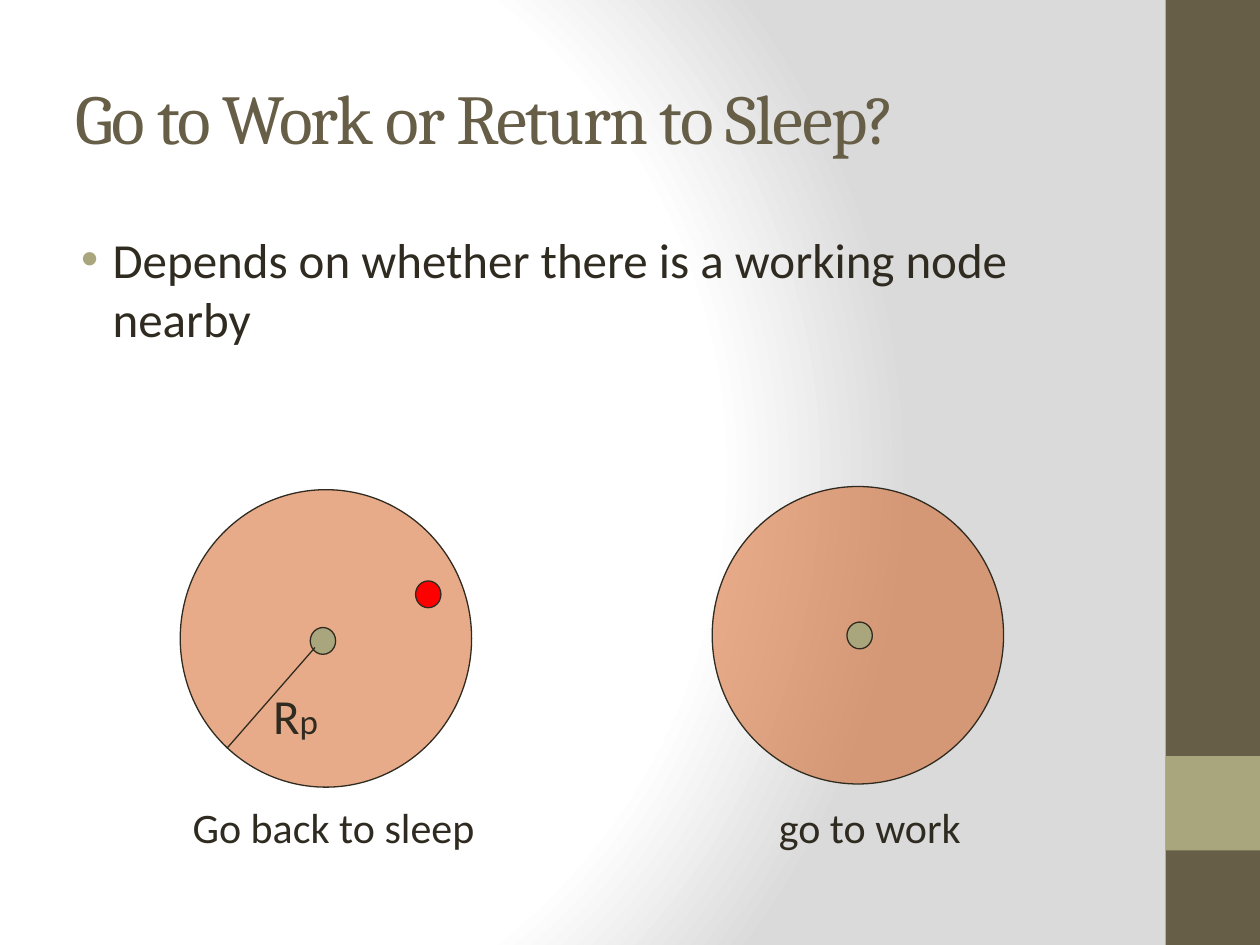
from dataclasses import dataclass
from typing import Any, Optional

from lxml.etree import SubElement
from pptx import Presentation
from pptx.dml.color import RGBColor
from pptx.enum.shapes import MSO_CONNECTOR, MSO_SHAPE
from pptx.enum.text import MSO_ANCHOR, MSO_AUTO_SIZE, PP_ALIGN
from pptx.oxml import parse_xml
from pptx.oxml.ns import nsdecls, qn
from pptx.util import Pt

BROWN = RGBColor(0x67, 0x5E, 0x47)
OLIVE = RGBColor(0xA9, 0xA5, 0x7C)
INK = RGBColor(0x2F, 0x2B, 0x20)
RUST = RGBColor(0xD2, 0x58, 0x14)
RED = RGBColor(0xFF, 0x00, 0x00)
WHITE = RGBColor(0xFF, 0xFF, 0xFF)
GREY = RGBColor(0xDA, 0xDA, 0xDA)

HEAD = {"name": "Cambria", "size": Pt(40), "bold": False}
BODY = {"name": "Calibri", "size": Pt(28)}
NOTE = {"name": "Calibri", "size": Pt(24)}
SMALL = {"name": "Calibri", "size": Pt(20)}
STOPS = [(0, WHITE), (75, WHITE), (100, GREY)]


@dataclass
class Box:
    left: float
    top: float
    width: float
    height: float

    def pts(self) -> list:
        return [Pt(v) for v in (self.left, self.top, self.width, self.height)]


@dataclass
class Part:
    kind: MSO_SHAPE
    box: Box
    fill: RGBColor
    line: Optional[RGBColor] = None
    alpha: int = 100


def disc(left: float, top: float) -> Part:
    return Part(MSO_SHAPE.OVAL, Box(left, top, 166.5, 170), RUST, INK, 50)


def node(left: float, top: float, fill: RGBColor) -> Part:
    return Part(MSO_SHAPE.OVAL, Box(left, top, 14.5, 15.3), fill, INK)


BARS = [
    Part(MSO_SHAPE.RECTANGLE, Box(666, 0, 54, 540), BROWN),
    Part(MSO_SHAPE.RECTANGLE, Box(666, 432, 54, 54), OLIVE),
]
NODES = [
    disc(407, 278), node(484, 355.5, OLIVE),
    disc(103, 279.8), node(177.3, 358.6, OLIVE), node(237.5, 332, RED),
]


def draw(shapes: Any, part: Part) -> None:
    shape = shapes.add_shape(part.kind, *part.box.pts())
    shape.shadow.inherit = False
    shape.fill.solid()
    shape.fill.fore_color.rgb = part.fill
    if part.alpha < 100:
        tint = shape._element.spPr.find(f"{qn('a:solidFill')}/{qn('a:srgbClr')}")
        SubElement(tint, qn("a:alpha"), val=str(part.alpha * 1000))
    if part.line is None:
        shape.line.fill.background()
    else:
        shape.line.color.rgb = part.line
        shape.line.width = Pt(0.75)


def style(font: Any, look: dict, color: RGBColor) -> None:
    for key, value in look.items():
        setattr(font, key, value)
    font.color.rgb = color


def place(shape: Any, box: Box) -> None:
    for key, value in zip(("left", "top", "width", "height"), box.pts()):
        setattr(shape, key, value)


def label(shapes: Any, box: Box, wrap: bool, runs: list) -> Any:
    frame = shapes.add_textbox(*box.pts()).text_frame
    frame.word_wrap = wrap
    para = frame.paragraphs[0]
    for text, look in runs:
        run = para.add_run()
        run.text = text
        style(run.font, look, INK)
    return para


def shade(slide: Any) -> None:
    slide.background.fill.solid()
    old = slide._element.find(f".//{qn('p:bgPr')}/{qn('a:solidFill')}")
    stops = "".join(
        f'<a:gs pos="{pos * 1000}"><a:srgbClr val="{color}"/></a:gs>'
        for pos, color in STOPS)
    old.getparent().replace(old, parse_xml(
        f'<a:gradFill {nsdecls("a")} rotWithShape="1"><a:gsLst>{stops}</a:gsLst>'
        '<a:path path="circle"><a:fillToRect l="20000" t="50000" r="100000" '
        'b="50000"/></a:path></a:gradFill>'))


def main() -> None:
    deck = Presentation()
    deck.slide_width, deck.slide_height = Pt(720), Pt(540)
    slide = deck.slides.add_slide(deck.slide_layouts[1])
    shapes = slide.shapes
    shade(slide)

    # Side bars
    for bar in BARS:
        draw(shapes, bar)

    # Title
    title = shapes.title
    place(title, Box(36, 21.6, 600, 90))
    frame = title.text_frame
    frame.text = "Go to Work or Return to Sleep?"
    frame.auto_size = MSO_AUTO_SIZE.NONE
    frame.vertical_anchor = MSO_ANCHOR.MIDDLE
    para = frame.paragraphs[0]
    para.alignment = PP_ALIGN.LEFT
    run = para.runs[0]
    style(run.font, HEAD, BROWN)
    run.font._element.set("spc", "-100")

    # Bullet list
    body = slide.placeholders[1]
    place(body, Box(30.2, 127.4, 620.6, 135.4))
    frame = body.text_frame
    frame.text = "Depends on whether there is a working node nearby"
    frame.auto_size = MSO_AUTO_SIZE.NONE
    para = frame.paragraphs[0]
    para.space_before = Pt(0)
    props = para._p.get_or_add_pPr()
    props.set("marL", str(Pt(27)))
    props.set("indent", str(Pt(-18)))
    tint = SubElement(props, qn("a:buClr"))
    SubElement(tint, qn("a:srgbClr"), val=str(OLIVE))
    SubElement(props, qn("a:buFont"), typeface="Arial")
    SubElement(props, qn("a:buChar"), char="•")
    style(para.runs[0].font, BODY, INK)

    # Sensing ranges and nodes
    for part in NODES:
        draw(shapes, part)

    # Captions, the second one at a tab stop
    para = label(shapes, Box(103, 454.3, 520, 36), True,
                 [("Go back to sleep\tgo to work", NOTE)])
    tabs = SubElement(para._p.get_or_add_pPr(), qn("a:tabLst"))
    SubElement(tabs, qn("a:tab"), pos=str(Pt(335)), algn="l")

    # Radius
    line = shapes.add_connector(
        MSO_CONNECTOR.STRAIGHT, Pt(180), Pt(370), Pt(129.6), Pt(427.7))
    line.line.color.rgb = INK
    line.line.width = Pt(0.75)
    SubElement(line._element.spPr, qn("a:effectLst"))
    label(shapes, Box(149, 388, 46, 41), False, [("R", BODY), ("p", SMALL)])

    deck.save("out.pptx")


if __name__ == "__main__":
    main()
